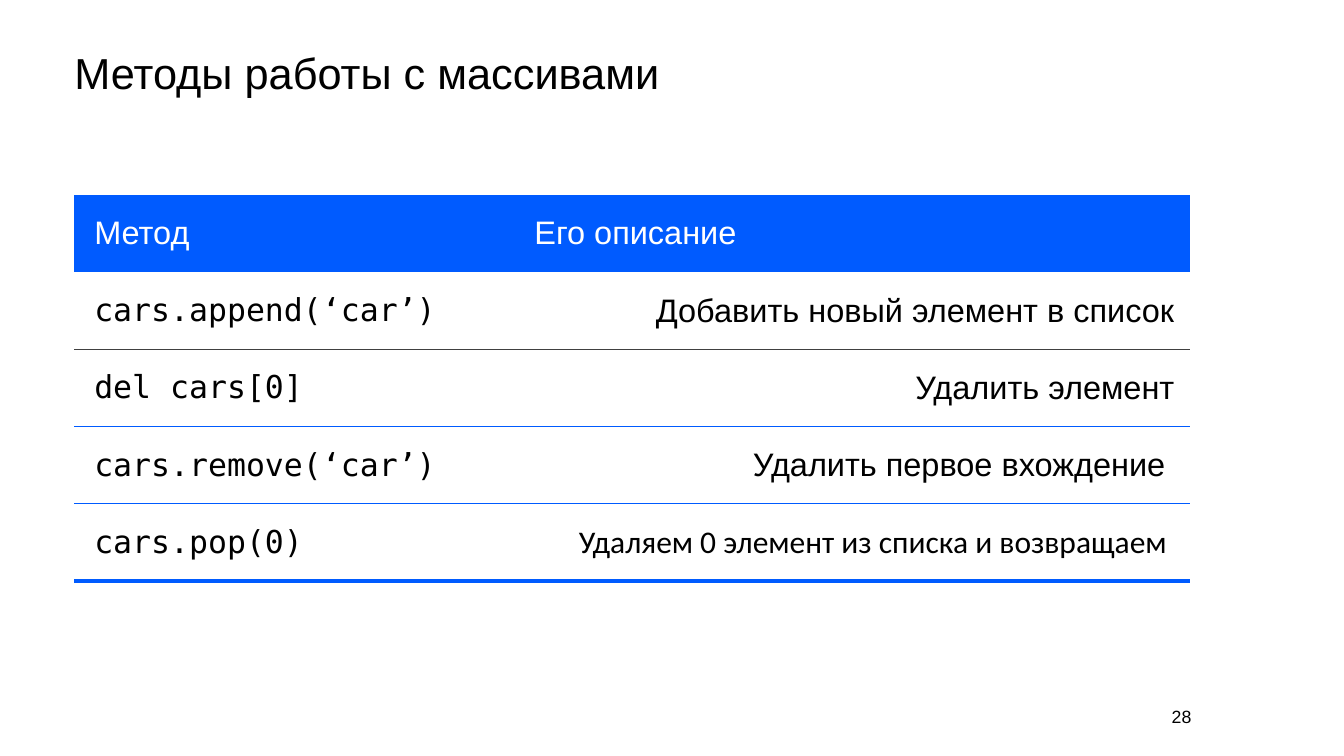
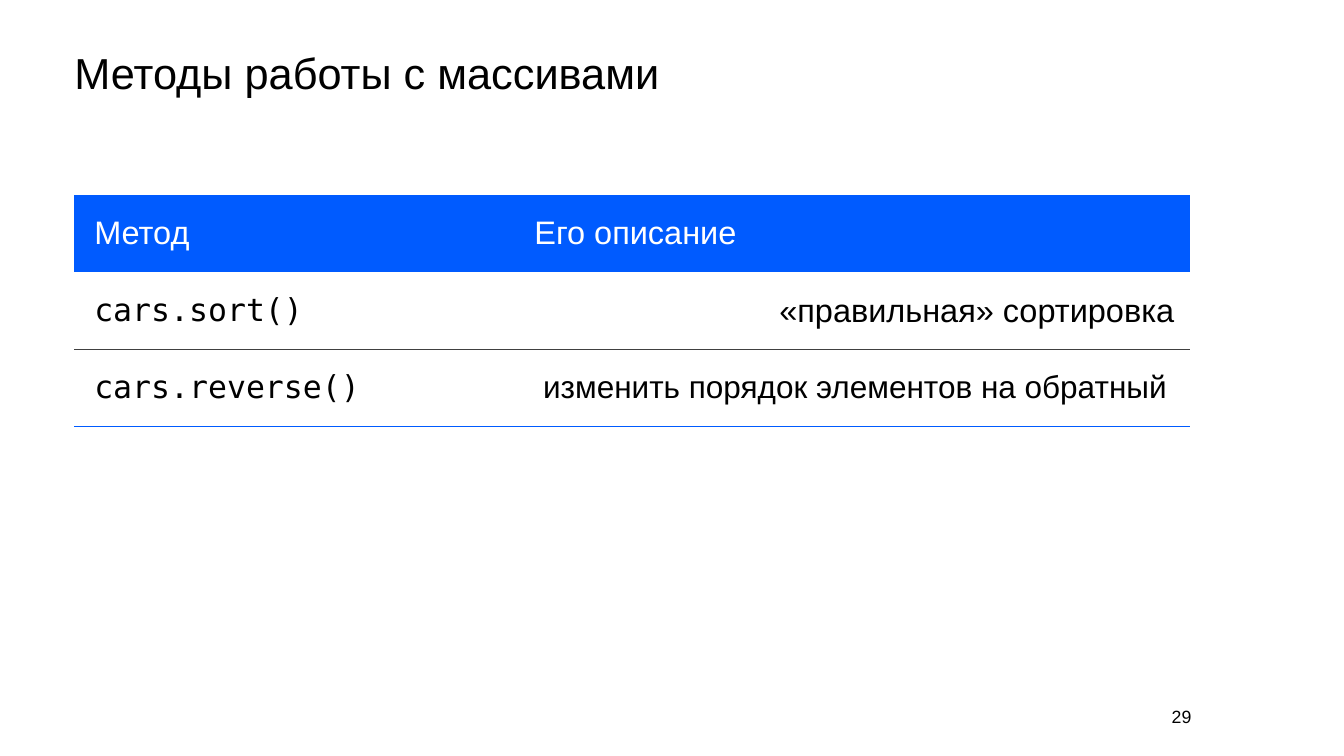
"""Build two slides that list the methods of arrays in tables."""
from lxml import etree
from pptx import Presentation
from pptx import util as u
from pptx.dml.color import RGBColor
from pptx.enum import text
from pptx.oxml.ns import qn

COLORS = {"blue": "005BFF", "black": "000000", "white": "FFFFFF", "rule": "404040"}
NO_STYLE = "{2D5ABB26-0587-4C30-8999-92F81FD0307C}"
THIN, MEDIUM, THICK = ("rule", 0.75), ("blue", 1.5), ("blue", 4.5)
LEFT, RIGHT = text.PP_ALIGN.LEFT, text.PP_ALIGN.RIGHT
TOP, MIDDLE, BOTTOM = (text.MSO_ANCHOR.TOP, text.MSO_ANCHOR.MIDDLE,
                       text.MSO_ANCHOR.BOTTOM)
HEADER = {"name": "Arial", "size": 33, "color": "white"}
CODE = {"name": "DejaVu Sans Mono", "size": 32}
BODY = {"name": "Arial", "size": 33, "align": RIGHT}
HEADINGS = [("Метод", HEADER), ("Его описание", HEADER)]


class Deck:
    UNIT = 0.35
    COLUMNS = (17.74, 27.23)
    ROW = 3.11

    def __init__(self, width, height):
        self.prs = Presentation()
        self.prs.slide_width = u.Inches(width)
        self.prs.slide_height = u.Inches(height)
        self.s = None

    def grid(self, *lengths):
        return [u.Inches(n * self.UNIT) for n in lengths]

    def add_slide(self, title, number):
        self.s = self.prs.slides.add_slide(self.prs.slide_layouts[5])
        sp = self.s.shapes.title
        places = zip(("left", "top", "width", "height"),
                     self.grid(3, 1, 48.14, 4.89))
        for key, value in places:
            setattr(sp, key, value)
        self.frame(sp.text_frame, TOP, (0, 0.39, 0, 0))
        self.add_text(sp.text_frame, title, size=44, spacing=0.9)
        sp = self.s.shapes.add_textbox(*self.grid(47.11, 28.51, 4.03, 0.97))
        self.frame(sp.text_frame, BOTTOM, (0.04, 0, 0.04, 0.06))
        self.add_text(sp.text_frame, str(number), size=18)

    def margins(self, target, insets):
        for side, inset in zip(("left", "top", "right", "bottom"), insets):
            setattr(target, "margin_" + side, u.Inches(inset))

    def frame(self, tf, anchor, insets):
        self.margins(tf, insets)
        style = {"word_wrap": True, "auto_size": text.MSO_AUTO_SIZE.NONE,
                 "vertical_anchor": anchor}
        for key, value in style.items():
            setattr(tf, key, value)

    def add_text(self, tf, words, name="Arial", size=33, color="black",
                 align=LEFT, spacing=1.0):
        p = tf.paragraphs[0]
        p.alignment, p.line_spacing = align, spacing
        r = p.add_run()
        r.text = words
        for key, value in {"name": name, "size": u.Pt(size), "bold": False}.items():
            setattr(r.font, key, value)
        r.font.color.rgb = RGBColor.from_string(COLORS[color])

    def underline(self, cell, color, width):
        ln = etree.Element(qn("a:lnB"), w=str(u.Pt(width)))
        fill = etree.SubElement(ln, qn("a:solidFill"))
        etree.SubElement(fill, qn("a:srgbClr"), val=COLORS[color])
        cell._tc.get_or_add_tcPr().insert(0, ln)

    def add_table(self, rows, rules):
        rows = [HEADINGS] + rows
        place = self.grid(3, 7.86, sum(self.COLUMNS), self.ROW * len(rows))
        table = self.s.shapes.add_table(len(rows), len(self.COLUMNS), *place).table
        table._tbl.tblPr.find(qn("a:tableStyleId")).text = NO_STYLE
        table.first_row = table.horz_banding = False
        for column, width in zip(table.columns, self.grid(*self.COLUMNS)):
            column.width = width
        for i, row in enumerate(rows):
            table.rows[i].height = self.grid(self.ROW)[0]
            for j, (words, style) in enumerate(row):
                cell = table.cell(i, j)
                self.margins(cell, (0.28, 0.06, 0.22, 0.06))
                cell.vertical_anchor = MIDDLE
                self.add_text(cell.text_frame, words, **style)
                if i:
                    cell.fill.background()
                    self.underline(cell, *rules[i - 1])
                else:
                    cell.fill.solid()
                    cell.fill.fore_color.rgb = RGBColor.from_string(COLORS["blue"])


def main():
    deck = Deck(18.96, 10.66)
    tables = [
        ([[("cars.append(‘car’)", CODE), ("Добавить новый элемент в список", BODY)],
          [("del cars[0]", CODE), ("Удалить элемент", BODY)],
          [("cars.remove(‘car’)", CODE), ("Удалить первое вхождение ", BODY)],
          [("cars.pop(0)", CODE),
           ("Удаляем 0 элемент из списка и возвращаем ",
            {"name": "Calibri", "size": 32, "align": RIGHT})]],
         [THIN, MEDIUM, MEDIUM, THICK]),
        ([[("cars.sort()", CODE), ("«правильная» сортировка", BODY)],
          [("cars.reverse()", CODE),
           (" изменить порядок элементов на обратный",
            {"name": "Arial", "size": 32})]],
         [THIN, MEDIUM]),
    ]
    for number, (rows, rules) in enumerate(tables, 28):
        deck.add_slide("Методы работы с массивами", number)
        deck.add_table(rows, rules)
    deck.prs.save("out.pptx")


if __name__ == "__main__":
    main()
